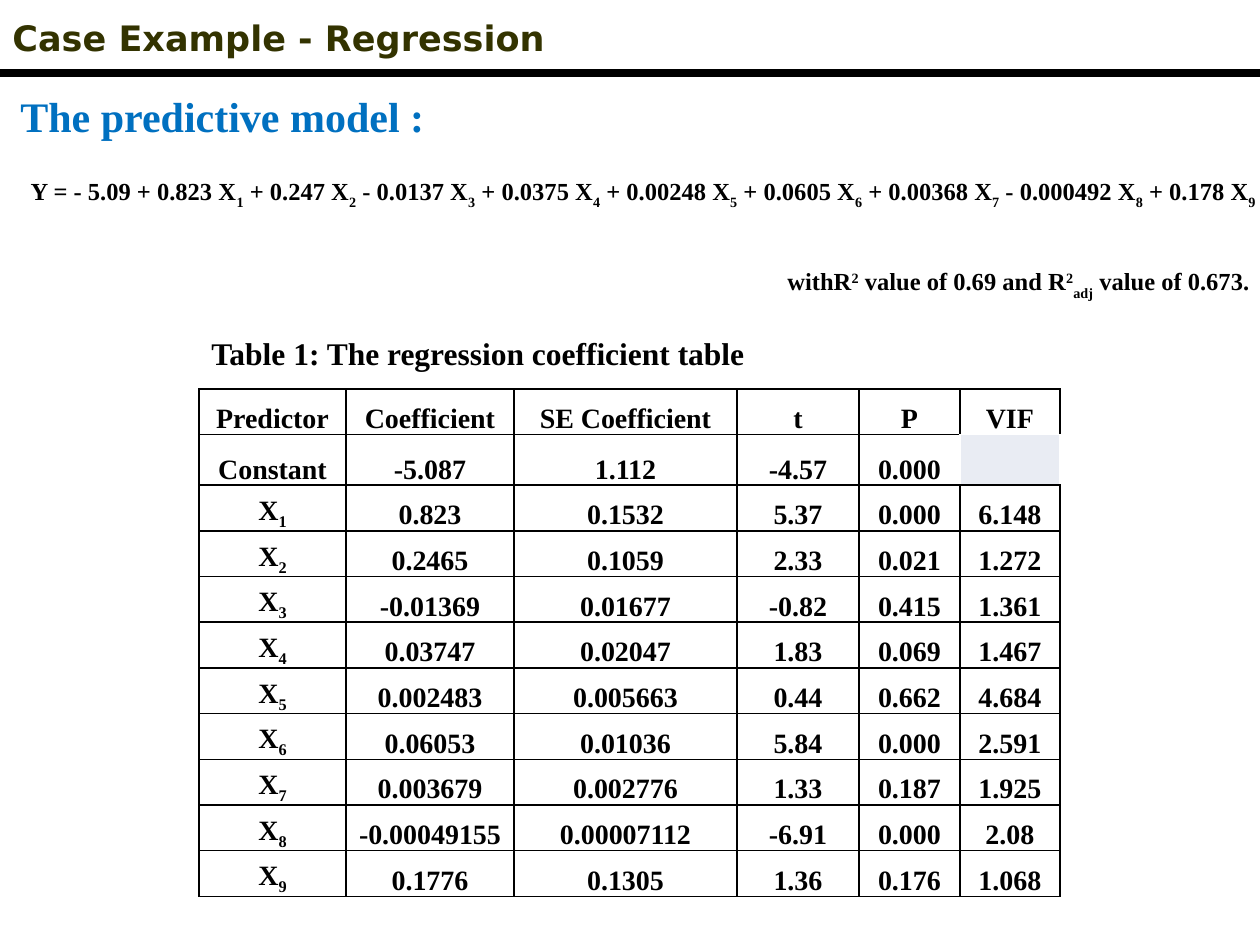
from typing import NamedTuple

from lxml.etree import SubElement
from pptx import Presentation
from pptx.dml.color import RGBColor
from pptx.enum.shapes import MSO_CONNECTOR
from pptx.enum.text import MSO_ANCHOR, MSO_AUTO_SIZE, PP_ALIGN
from pptx.oxml.ns import qn
from pptx.util import Emu, Pt

EMU_PER_PIXEL = 914400 / 126
SERIF = "Times New Roman"
BLACK = "000000"


class Style(NamedTuple):
    """Look of bold text."""
    size: int
    font: str = SERIF
    color: str = BLACK


class Piece(NamedTuple):
    """Text with a baseline shift in percent."""
    text: str
    shift: int = 0


class TextBox(NamedTuple):
    """Text box with its place in pixels."""
    left: int
    top: int
    width: int
    height: int
    style: Style
    lines: list[list[Piece]]
    align: PP_ALIGN = PP_ALIGN.JUSTIFY
    anchor: MSO_ANCHOR = MSO_ANCHOR.TOP
    wrap: bool = False
    gap: int = 0


def px(value: float) -> Emu:
    """Turn pixels into EMU."""
    return Emu(round(value * EMU_PER_PIXEL))


def rgb(value: str) -> RGBColor:
    """Turn a hex string into a colour."""
    return RGBColor.from_string(value)


def add_pieces(para, pieces: list[Piece], style: Style) -> None:
    """Add text to a paragraph run by run."""
    for piece in pieces:
        span = para.add_run()
        span.text = piece.text
        span.font.size = Pt(style.size)
        span.font.name = style.font
        span.font.bold = True
        span.font.color.rgb = rgb(style.color)
        if piece.shift:
            span._r.get_or_add_rPr().set("baseline", str(piece.shift * 1000))


def draw_text(page, item: TextBox) -> None:
    """Draw one text box."""
    box = page.shapes.add_textbox(
        px(item.left), px(item.top), px(item.width), px(item.height))
    frame = box.text_frame
    frame.word_wrap = item.wrap
    frame.auto_size = MSO_AUTO_SIZE.SHAPE_TO_FIT_TEXT
    frame.vertical_anchor = item.anchor
    for index, pieces in enumerate(item.lines):
        para = frame.add_paragraph() if index else frame.paragraphs[0]
        para.alignment = item.align
        if index:
            para.space_before = Pt(item.gap)
        add_pieces(para, pieces, item.style)


def draw_rule(page, y: int, width: int, weight: float) -> None:
    """Draw the horizontal rule below the title."""
    rule = page.shapes.add_connector(
        MSO_CONNECTOR.STRAIGHT, 0, px(y), px(width), px(y))
    rule.line.color.rgb = rgb(BLACK)
    rule.line.width = Pt(weight)
    SubElement(rule._element.spPr, qn("a:effectLst"))


def add_borders(cell) -> None:
    """Give a cell thin black borders, ahead of its fill."""
    properties = cell._tc.get_or_add_tcPr()
    for index, side in enumerate(("lnL", "lnR", "lnT", "lnB")):
        line = SubElement(properties, qn(f"a:{side}"), w=str(Pt(1)))
        fill = SubElement(line, qn("a:solidFill"))
        SubElement(fill, qn("a:srgbClr"), val=BLACK)
        properties.insert(index, line)


def draw_table(page, left: int, top: int, height: int,
               widths: list[int], rows: list[list[list[Piece]]]) -> None:
    """Draw the coefficient table with equal row heights."""
    table = page.shapes.add_table(
        len(rows), len(widths), px(left), px(top),
        px(sum(widths)), px(height)).table
    table.first_row = False
    table.horz_banding = False
    for column, width in zip(table.columns, widths):
        column.width = px(width)
    for row, contents in zip(table.rows, rows):
        row.height = px(height / len(rows))
        for cell, pieces in zip(row.cells, contents):
            cell.fill.background()
            add_borders(cell)
            cell.vertical_anchor = MSO_ANCHOR.BOTTOM
            cell.margin_left = cell.margin_right = px(9)
            cell.margin_top = cell.margin_bottom = 0
            para = cell.text_frame.paragraphs[0]
            para.alignment = PP_ALIGN.CENTER
            para.line_spacing = 1.15
            add_pieces(para, pieces, Style(16))


HEADERS = ["Predictor", "Coefficient", "SE Coefficient", "t", "P", "VIF"]
CONSTANT = ["Constant", "-5.087", "1.112", "-4.57", "0.000"]
PREDICTORS = [
    ["0.823", "0.1532", "5.37", "0.000", "6.148"],
    ["0.2465", "0.1059", "2.33", "0.021", "1.272"],
    ["-0.01369", "0.01677", "-0.82", "0.415", "1.361"],
    ["0.03747", "0.02047", "1.83", "0.069", "1.467"],
    ["0.002483", "0.005663", "0.44", "0.662", "4.684"],
    ["0.06053", "0.01036", "5.84", "0.000", "2.591"],
    ["0.003679", "0.002776", "1.33", "0.187", "1.925"],
    ["-0.00049155", "0.00007112", "-6.91", "0.000", "2.08"],
    ["0.1776", "0.1305", "1.36", "0.176", "1.068"],
]
TERMS = ["Y = - 5.09 + 0.823", " + 0.247", " - 0.0137", " + 0.0375",
         " + 0.00248", " + 0.0605", " + 0.00368", " - 0.000492", " + 0.178"]

equation = [piece for number, term in enumerate(TERMS, 1)
            for piece in (Piece(f"{term} X"), Piece(str(number), -30))]
fit = [Piece("withR"), Piece("2", 30), Piece(" value of 0.69 and R"),
       Piece("2", 30), Piece("adj", -30), Piece(" value of 0.673. ")]
table_rows = [[[Piece(text)] for text in texts] for texts in (HEADERS, CONSTANT)]
table_rows += [
    [[Piece("X"), Piece(str(number), -25)]] + [[Piece(text)] for text in texts]
    for number, texts in enumerate(PREDICTORS, 1)]

TEXT_BOXES = [
    TextBox(0, 10, 955, 54, Style(20, "DejaVu Sans", "333300"),
            [[Piece("Case Example - Regression")]], PP_ALIGN.LEFT, wrap=True),
    TextBox(0, 173, 1268, 131, Style(14), [equation, fit],
            PP_ALIGN.RIGHT, MSO_ANCHOR.MIDDLE, gap=32),
    TextBox(8, 84, 433, 63, Style(24, color="0070C0"),
            [[Piece("The predictive model :")]]),
    TextBox(199, 328, 580, 50, Style(18),
            [[Piece("Table 1: The regression coefficient table")]],
            anchor=MSO_ANCHOR.MIDDLE),
]

deck = Presentation()
deck.slide_width, deck.slide_height = px(1260), px(945)
page = deck.slides.add_slide(deck.slide_layouts[6])
draw_rule(page, 73, 1260, 4.5)
for text_box in TEXT_BOXES:
    draw_text(page, text_box)
draw_table(page, 199, 389, 503, [147, 168, 223, 122, 101, 100], table_rows)
deck.save("out.pptx")
